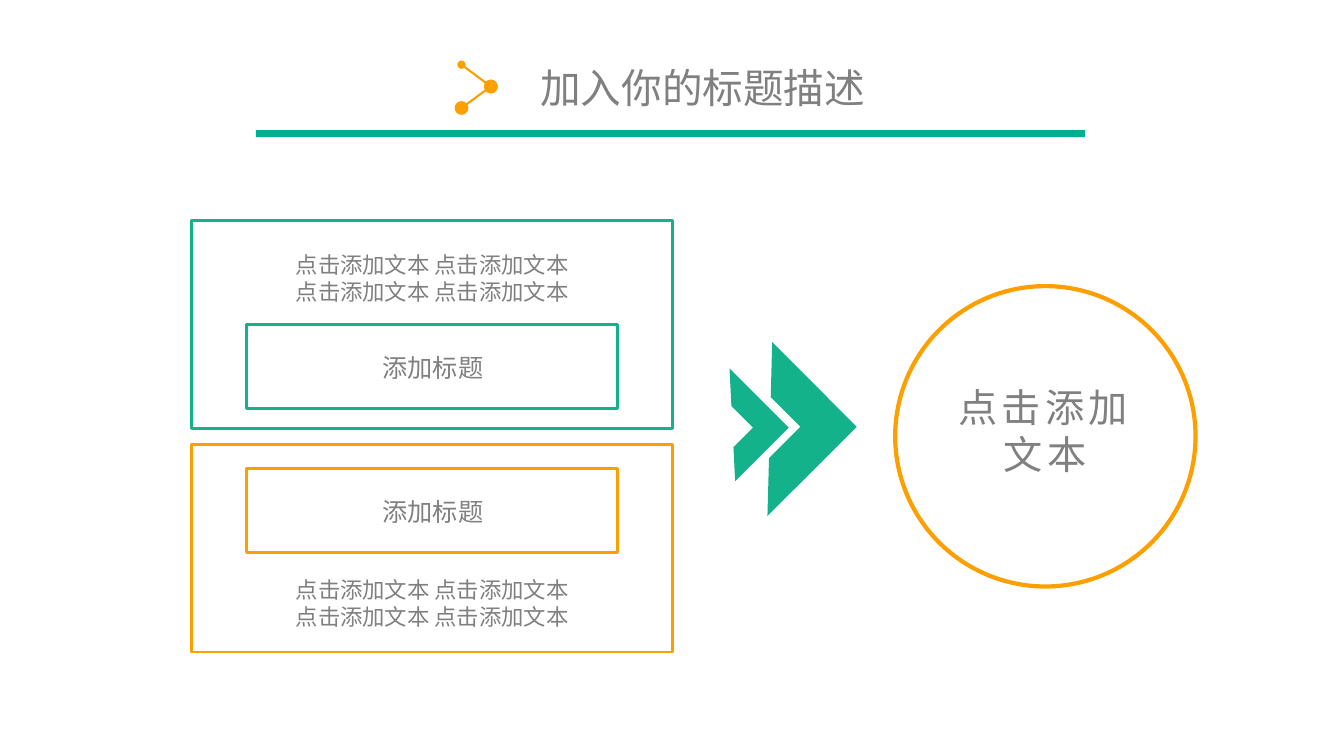
"""Build a slide where two captioned panels lead through arrows to a circle."""
from lxml.etree import SubElement
from pptx import Presentation
from pptx.dml.color import RGBColor
from pptx.enum.shapes import MSO_CONNECTOR as Connector, MSO_SHAPE as Shape
from pptx.enum.text import MSO_ANCHOR as Anchor, PP_ALIGN as Align
from pptx.oxml.ns import qn
from pptx.util import Cm, Pt

COLORS = {"bar": "00AF92", "green": "14B28B", "orange": "FE9F00", "text": "808080"}
FONT = "Noto Sans CJK SC"
LINE_HEIGHT = 1.2


def write_text(frame, text, size, align=Align.CENTER, anchor=Anchor.TOP, wrap=True, spacing=None):
    frame.text = text
    frame.word_wrap = wrap
    frame.vertical_anchor = anchor
    for paragraph in frame.paragraphs:
        paragraph.alignment = align
        paragraph.line_spacing = Pt(size * LINE_HEIGHT)
        for run in paragraph.runs:
            run.font.size = Pt(size)
            run.font.color.rgb = RGBColor.from_string(COLORS["text"])
            run.font.name = FONT
            properties = run._r.get_or_add_rPr()
            SubElement(properties, qn("a:ea"), typeface=FONT)
            if spacing:
                properties.set("spc", str(spacing * 100))


def add_figure(kind, left, top, width, height, fill=None, line=None, weight=2, rotation=0):
    shape = slide.shapes.add_shape(kind, Cm(left), Cm(top), Cm(width), Cm(height))
    shape.shadow.inherit = False
    shape.rotation = rotation
    if fill:
        shape.fill.solid()
        shape.fill.fore_color.rgb = RGBColor.from_string(COLORS[fill])
    else:
        shape.fill.background()
    if line:
        shape.line.color.rgb = RGBColor.from_string(COLORS[line])
        shape.line.width = Pt(weight)
    else:
        shape.line.fill.background()


presentation = Presentation()
presentation.slide_width, presentation.slide_height = Cm(33.87), Cm(19.05)
slide = presentation.slides.add_slide(presentation.slide_layouts[5])

add_figure(Shape.RECTANGLE, 6.45, 3.28, 20.9, 0.18, fill="bar")
title = slide.shapes.title
title.left, title.top, title.width, title.height = Cm(13.36), Cm(1.47), Cm(8.79), Cm(1.5)
write_text(title.text_frame, "加入你的标题描述", 29, align=Align.LEFT, wrap=False)

nodes = [(11.63, 1.63, "med"), (12.37, 2.18, "lg"), (11.63, 2.72, "lg")]
for (x1, y1, head_size), (x2, y2, tail_size) in zip(nodes, nodes[1:]):
    link = slide.shapes.add_connector(Connector.STRAIGHT, Cm(x1), Cm(y1), Cm(x2), Cm(y2))
    link.line.color.rgb = RGBColor.from_string(COLORS["orange"])
    link.line.width = Pt(1.5)
    outline = link.line._get_or_add_ln()
    for end, size in (("a:headEnd", head_size), ("a:tailEnd", tail_size)):
        SubElement(outline, qn(end), type="oval", w=size, len=size)
    SubElement(link._element.spPr, qn("a:effectLst"))

panels = [
    ("orange", 11.2, 11.81, 12.37, 14.4),
    ("green", 5.56, 8.18, 8.76, 6.2),
]
for color, panel_top, frame_top, heading_top, caption_top in panels:
    add_figure(Shape.RECTANGLE, 4.83, panel_top, 12.12, 5.23, line=color)
    add_figure(Shape.RECTANGLE, 6.22, frame_top, 9.35, 2.12, line=color)
    caption = slide.shapes.add_textbox(Cm(4.95), Cm(caption_top), Cm(11.89), Cm(1.63))
    write_text(caption.text_frame, "点击添加文本 点击添加文本\n点击添加文本 点击添加文本", 16)
    heading = slide.shapes.add_textbox(Cm(6.73), Cm(heading_top), Cm(8.36), Cm(1.02))
    write_text(heading.text_frame, "添加标题", 18, anchor=Anchor.MIDDLE)

add_figure(Shape.HALF_FRAME, 17.5, 9.65, 1.91, 2.11, fill="green", rotation=135)
add_figure(Shape.HALF_FRAME, 17.81, 9.3, 3.18, 3.02, fill="green", rotation=135.1)

add_figure(Shape.OVAL, 22.56, 7.21, 7.57, 7.57, line="orange", weight=3)
result = slide.shapes.add_textbox(Cm(23.42), Cm(9.53), Cm(5.84), Cm(2.64))
write_text(result.text_frame, "点击添加文本", 28, spacing=3)

presentation.save("out.pptx")
